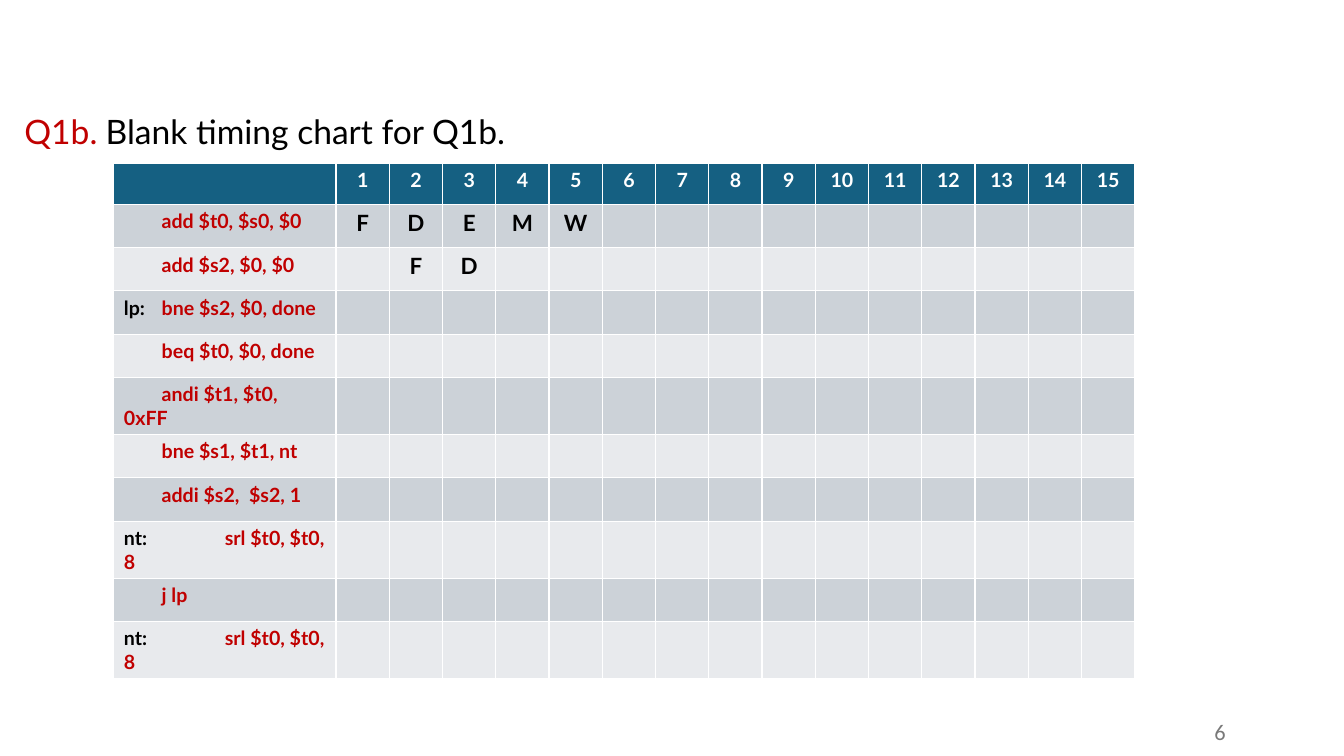
from dataclasses import dataclass

from lxml.etree import SubElement
from pptx import Presentation
from pptx.dml.color import RGBColor as RGB
from pptx.enum.text import MSO_ANCHOR as Anchor, MSO_AUTO_SIZE as AutoSize, PP_ALIGN as Align
from pptx.oxml.ns import qn
from pptx.util import Cm, Pt

# Content
LABEL = "Q1b."
TITLE = "Blank timing chart for Q1b."
PAGE = "6"
CYCLES = 15
# (jump label, instruction, first cycle, pipeline stages)
INSTRUCTIONS = [
    ("", "add $t0, $s0, $0", 1, "FDEMW"),
    ("", "add $s2, $0, $0", 2, "FD"),
    ("lp:", "bne $s2, $0, done", 1, ""),
    ("", "beq $t0, $0, done", 1, ""),
    ("", "andi $t1, $t0, 0xFF", 1, ""),
    ("", "bne $s1, $t1, nt", 1, ""),
    ("", "addi $s2,  $s2, 1", 1, ""),
    ("nt:", "srl $t0, $t0, 8", 1, ""),
    ("", "j lp", 1, ""),
    ("nt:", "srl $t0, $t0, 8", 1, ""),
]


@dataclass(frozen=True)
class Theme:
    font: str = "Lato"
    page_font: str = "Calibri"
    red: RGB = RGB(0xC0, 0x00, 0x00)
    black: RGB = RGB(0x00, 0x00, 0x00)
    white: RGB = RGB(0xFF, 0xFF, 0xFF)
    grey: RGB = RGB(0x79, 0x79, 0x79)
    header: RGB = RGB(0x15, 0x60, 0x82)
    bands: tuple = (RGB(0xCC, 0xD2, 0xD8), RGB(0xE8, 0xEA, 0xED))
    title_size: Pt = Pt(24)
    stage_size: Pt = Pt(16)
    code_size: Pt = Pt(14)
    page_size: Pt = Pt(16)


T = Theme()

# Layout
HEADING_TOP, HEADING_H = Cm(2.67), Cm(1.27)
TABLE_LEFT, TABLE_TOP, TABLE_W = Cm(2.87), Cm(4.12), Cm(25.74)
CODE_W, HEADER_H, ROW_H = Cm(5.6), Cm(0.98), Cm(1.09)
CODE_TAB, WIDE_TAB = Cm(0.95), Cm(2.54)


def style(p, size, color, align=Align.LEFT, bold=False, font=T.font):
    p.alignment = align
    f = p.font
    f.name, f.size, f.bold = font, size, bold
    f.color.rgb = color


def set_text(sp, text, size, color, align=Align.LEFT, anchor=Anchor.TOP, font=T.font):
    tf = sp.text_frame
    tf.text = text
    tf.word_wrap = True
    tf.auto_size = AutoSize.NONE
    tf.vertical_anchor = anchor
    style(tf.paragraphs[0], size, color, align, font=font)


def add_tab(p, pos):
    tabs = SubElement(p._p.get_or_add_pPr(), qn("a:tabLst"))
    SubElement(tabs, qn("a:tab"), pos=str(int(pos)), algn="l")


def fill_cell(cell, color):
    cell.fill.solid()
    cell.fill.fore_color.rgb = color


def write_cell(cell, text, size, color):
    p = cell.text_frame.paragraphs[0]
    p.text = text
    style(p, size, color, Align.CENTER, bold=True)


def write_code(cell, jump, code):
    p = cell.text_frame.paragraphs[0]
    add_tab(p, WIDE_TAB if jump == "nt:" else CODE_TAB)
    style(p, T.code_size, T.red, bold=True)
    r = p.add_run()
    r.text = jump + "\t"
    r.font.color.rgb = T.black
    p.add_run().text = code


def add_chart_table(slide):
    table = slide.shapes.add_table(
        len(INSTRUCTIONS) + 1, CYCLES + 1, TABLE_LEFT, TABLE_TOP, TABLE_W,
        HEADER_H + ROW_H * len(INSTRUCTIONS)).table

    # Column widths and row heights
    for i, col in enumerate(table.columns):
        col.width = CODE_W if i == 0 else (TABLE_W - CODE_W) // CYCLES
    for i, row in enumerate(table.rows):
        row.height = ROW_H if i else HEADER_H
        for cell in row.cells:
            fill_cell(cell, T.bands[(i - 1) % 2] if i else T.header)

    # Cycle numbers
    for cycle in range(1, CYCLES + 1):
        write_cell(table.cell(0, cycle), str(cycle), T.code_size, T.white)

    # Instructions and their stages
    for i, (jump, code, start, stages) in enumerate(INSTRUCTIONS, 1):
        write_code(table.cell(i, 0), jump, code)
        for cycle, stage in enumerate(stages, start):
            write_cell(table.cell(i, cycle), stage, T.stage_size, T.black)


def main():
    prs = Presentation()
    prs.slide_width, prs.slide_height = Cm(33.87), Cm(19.05)
    slide = prs.slides.add_slide(prs.slide_layouts[5])

    # Heading
    title = slide.shapes.title
    title.left, title.top, title.width, title.height = Cm(2.41), HEADING_TOP, Cm(22.96), HEADING_H
    set_text(title, TITLE, T.title_size, T.black)
    label = slide.shapes.add_textbox(Cm(0.28), HEADING_TOP, Cm(2.51), HEADING_H)
    set_text(label, LABEL, T.title_size, T.red, Align.CENTER)

    # Timing chart
    add_chart_table(slide)

    # Page number
    page = slide.shapes.add_textbox(Cm(27.51), Cm(17.93), Cm(3.63), Cm(1.02))
    set_text(page, PAGE, T.page_size, T.grey, Align.RIGHT, Anchor.MIDDLE, T.page_font)

    prs.save("out.pptx")


if __name__ == "__main__":
    main()
